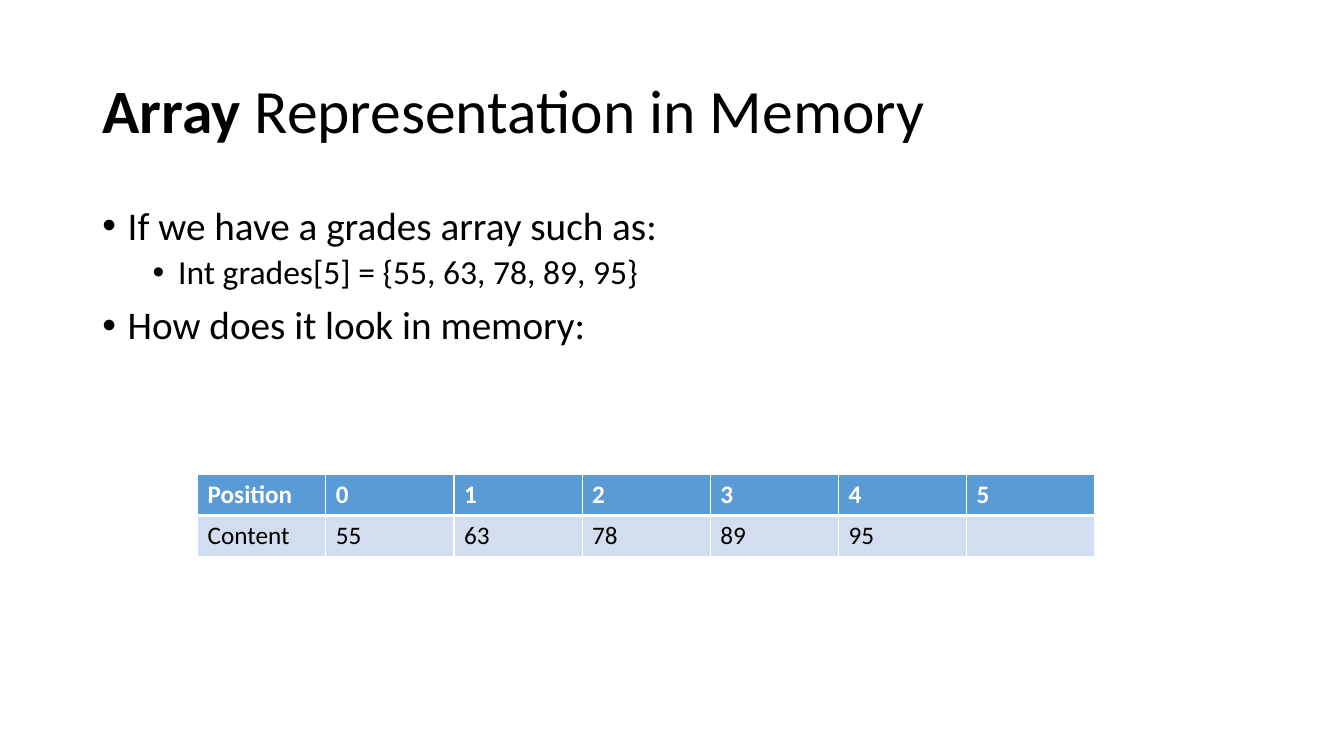
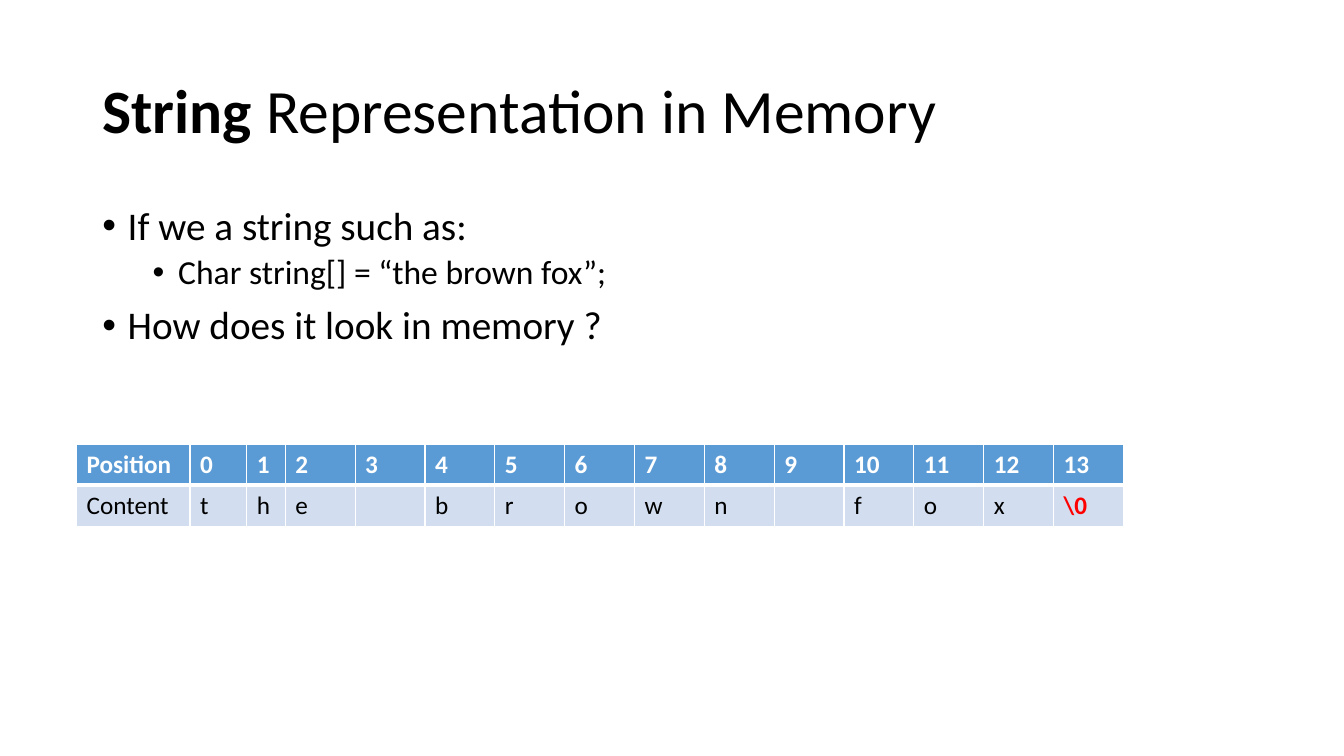
from lxml.etree import SubElement
from pptx import Presentation
from pptx.dml.color import RGBColor
from pptx.enum.text import MSO_ANCHOR
from pptx.oxml.ns import qn
from pptx.util import Cm, Pt

# Content
SLIDES = [
    dict(title=("Array", " Representation in Memory"),
         points=[(0, "If we have a grades array such as: "),
                 (1, "Int grades[5] = {55, 63, 78, 89, 95}"),
                 (0, "How does it look in memory:")],
         cells=["55", "63", "78", "89", "95 ", ""],
         at=(4.98, 11.96), cols=[3.23] * 7),
    dict(title=("String ", "Representation in Memory"),
         points=[(0, "If we a string such as:"),
                 (1, "Char string[] = \u201cthe brown fox\u201d;"),
                 (0, "How does it look in memory ?")],
         cells=[c.strip() for c in "the brown fox"] + ["\\0"],
         at=(1.93, 11.2), cols=[2.86, 1.43, 0.97] + [1.76] * 12),
]

# Shared style
FONT = "Calibri"
BLACK, WHITE, RED = "000000", "FFFFFF", "FF0000"
HEAD, BAND = "5B9BD5", "D2DEEF"
LEFT, WIDTH, ROW = 2.33, 29.21, 1.03
LEVELS = [(28, 10, 0.64), (24, 5, 1.91)]  # size, space before, indent
HANG = 0.64


def color(code):
    return RGBColor.from_string(code)


def add_run(para, text, size, code=BLACK, bold=False):
    run = para.add_run()
    run.text = text
    font = run.font
    font.name, font.size, font.bold = FONT, Pt(size), bold
    font.color.rgb = color(code)


def add_box(slide, top, height):
    box = slide.shapes.add_textbox(Cm(LEFT), Cm(top), Cm(WIDTH), Cm(height))
    box.text_frame.word_wrap = True
    return box.text_frame


def add_title(slide, parts):
    frame = add_box(slide, 1.01, 3.68)
    frame.vertical_anchor = MSO_ANCHOR.MIDDLE
    para = frame.paragraphs[0]
    para.line_spacing = 0.9
    for text, bold in zip(parts, (True, False)):
        add_run(para, text, 44, bold=bold)


def add_points(slide, points):
    frame = add_box(slide, 5.07, 12.09)
    for i, (level, text) in enumerate(points):
        para = frame.add_paragraph() if i else frame.paragraphs[0]
        size, before, indent = LEVELS[level]
        para.level = level
        para.line_spacing, para.space_before = 0.9, Pt(before)
        props = para._p.get_or_add_pPr()
        props.set("marL", str(Cm(indent)))
        props.set("indent", str(-Cm(HANG)))
        SubElement(props, qn("a:buFont"), typeface="Arial")
        SubElement(props, qn("a:buChar"), char="\u2022")
        add_run(para, text, size)


def add_edges(cell, under):
    props = cell._tc.get_or_add_tcPr()
    for side, width in zip("LRTB", (1, 1, 1, under)):
        line = SubElement(props, qn("a:ln" + side), w=str(Pt(width)))
        fill = SubElement(line, qn("a:solidFill"))
        SubElement(fill, qn("a:srgbClr"), val=WHITE)


def add_grid(slide, cells, at, cols):
    rows = [["Position"] + [str(i) for i in range(len(cells))],
            ["Content"] + cells]
    left, top = at
    grid = slide.shapes.add_table(len(rows), len(cols), Cm(left), Cm(top),
                                  Cm(sum(cols)), Cm(ROW * len(rows))).table
    for col, width in zip(grid.columns, cols):
        col.width = Cm(width)
    for r, row in enumerate(rows):
        head = r == 0
        for c, text in enumerate(row):
            cell = grid.cell(r, c)
            add_edges(cell, 3 if head else 1)
            cell.fill.solid()
            cell.fill.fore_color.rgb = color(HEAD if head else BAND)
            end = text == "\\0"
            code = WHITE if head else RED if end else BLACK
            if text:
                add_run(cell.text_frame.paragraphs[0], text, 18, code,
                        head or end)


# Build
deck = Presentation()
deck.slide_width, deck.slide_height = Cm(33.87), Cm(19.05)
for item in SLIDES:
    slide = deck.slides.add_slide(deck.slide_layouts[6])
    add_title(slide, item["title"])
    add_points(slide, item["points"])
    add_grid(slide, item["cells"], item["at"], item["cols"])
deck.save("out.pptx")
